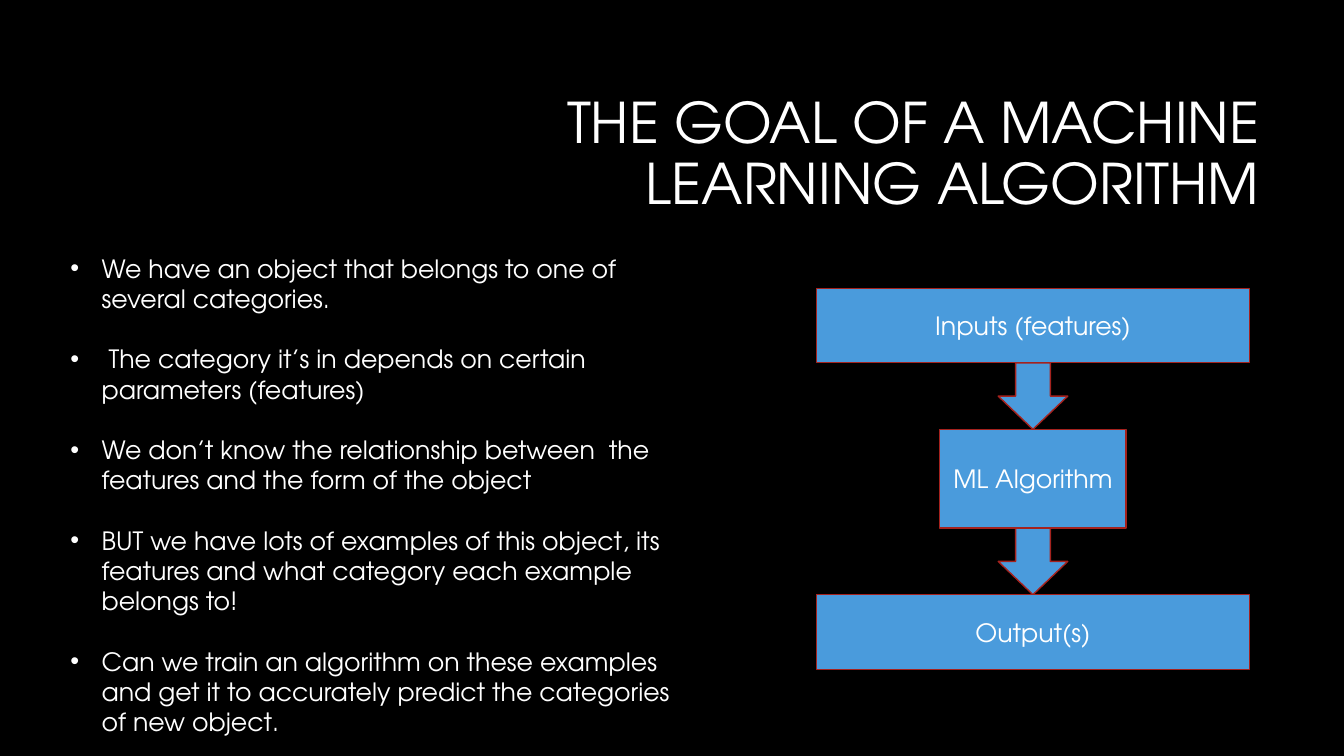
from dataclasses import dataclass

from lxml import etree
from pptx import Presentation
from pptx.dml.color import RGBColor
from pptx.enum.shapes import MSO_SHAPE
from pptx.enum.text import MSO_ANCHOR, MSO_AUTO_SIZE, PP_ALIGN
from pptx.oxml.ns import qn
from pptx.util import Inches, Pt

RECTANGLE, DOWN_ARROW = MSO_SHAPE.RECTANGLE, MSO_SHAPE.DOWN_ARROW
MIDDLE = MSO_ANCHOR.MIDDLE
NO_AUTOFIT = MSO_AUTO_SIZE.NONE
CENTER, RIGHT = PP_ALIGN.CENTER, PP_ALIGN.RIGHT


@dataclass(frozen=True)
class Theme:
    font: str = "TeX Gyre Adventor"
    background: RGBColor = RGBColor(0x00, 0x00, 0x00)
    text: RGBColor = RGBColor(0xFF, 0xFF, 0xFF)
    fill: RGBColor = RGBColor(0x4A, 0x9B, 0xDC)
    outline: RGBColor = RGBColor(0xA5, 0x22, 0x1E)
    title_size: Pt = Pt(40)
    body_size: Pt = Pt(18)


THEME = Theme()


def style_text(paragraph, size):
    paragraph.font.name = THEME.font
    paragraph.font.size = size
    paragraph.font.color.rgb = THEME.text


prs = Presentation()
prs.slide_width, prs.slide_height = Inches(13.33), Inches(7.5)
slide = prs.slides.add_slide(prs.slide_layouts[5])
slide.background.fill.solid()
slide.background.fill.fore_color.rgb = THEME.background

title = slide.shapes.title
title.left, title.top = Inches(3.17), Inches(0.84)
title.width, title.height = Inches(9.42), Inches(1.41)
title.text_frame.text = "THE GOAL OF A MACHINE LEARNING ALGORITHM"
title.text_frame.auto_size = NO_AUTOFIT
title.text_frame.vertical_anchor = MIDDLE
heading = title.text_frame.paragraphs[0]
heading.alignment = RIGHT
heading.line_spacing = 0.9
style_text(heading, THEME.title_size)

flow_center, flow_top = 10.245, 2.86
flow_steps = [
    (RECTANGLE, "Inputs (features)", 4.29, 0.74),
    (DOWN_ARROW, "", 0.69, 0.66),
    (RECTANGLE, "ML Algorithm", 1.85, 0.98),
    (DOWN_ARROW, "", 0.69, 0.66),
    (RECTANGLE, "Output(s)", 4.29, 0.74),
]
for outline, label, width, height in flow_steps:
    step = slide.shapes.add_shape(
        outline, Inches(flow_center - width / 2), Inches(flow_top), Inches(width), Inches(height)
    )
    step.shadow.inherit = False
    step.fill.solid()
    step.fill.fore_color.rgb = THEME.fill
    step.line.color.rgb = THEME.outline
    step.line.width = Pt(1)
    if label:
        step.text_frame.text = label
        step.text_frame.vertical_anchor = MIDDLE
        step.text_frame.paragraphs[0].alignment = CENTER
        style_text(step.text_frame.paragraphs[0], THEME.body_size)
    flow_top += height

points = [
    "We have an object that belongs to one of several categories.",
    " The category it’s in depends on certain parameters (features)",
    "We don’t know the relationship between  the features and the form of the object",
    "BUT we have lots of examples of this object, its features and what category each example belongs to!",
    "Can we train an algorithm on these examples and get it to accurately predict the categories of new object.",
]
explanation = slide.shapes.add_textbox(Inches(0.6), Inches(2.46), Inches(6.2), Inches(4.95)).text_frame
explanation.word_wrap = True
for index, point in enumerate(points):
    paragraph = explanation.paragraphs[0] if index == 0 else explanation.add_paragraph()
    paragraph.text = point
    if index > 0:
        paragraph.space_before = Pt(21.6)
    properties = paragraph._p.get_or_add_pPr()
    properties.set("marL", str(Inches(0.31)))
    properties.set("indent", str(Inches(-0.31)))
    etree.SubElement(properties, qn("a:buFont")).set("typeface", "Arial")
    etree.SubElement(properties, qn("a:buChar")).set("char", "•")
    style_text(paragraph, THEME.body_size)

prs.save("out.pptx")
